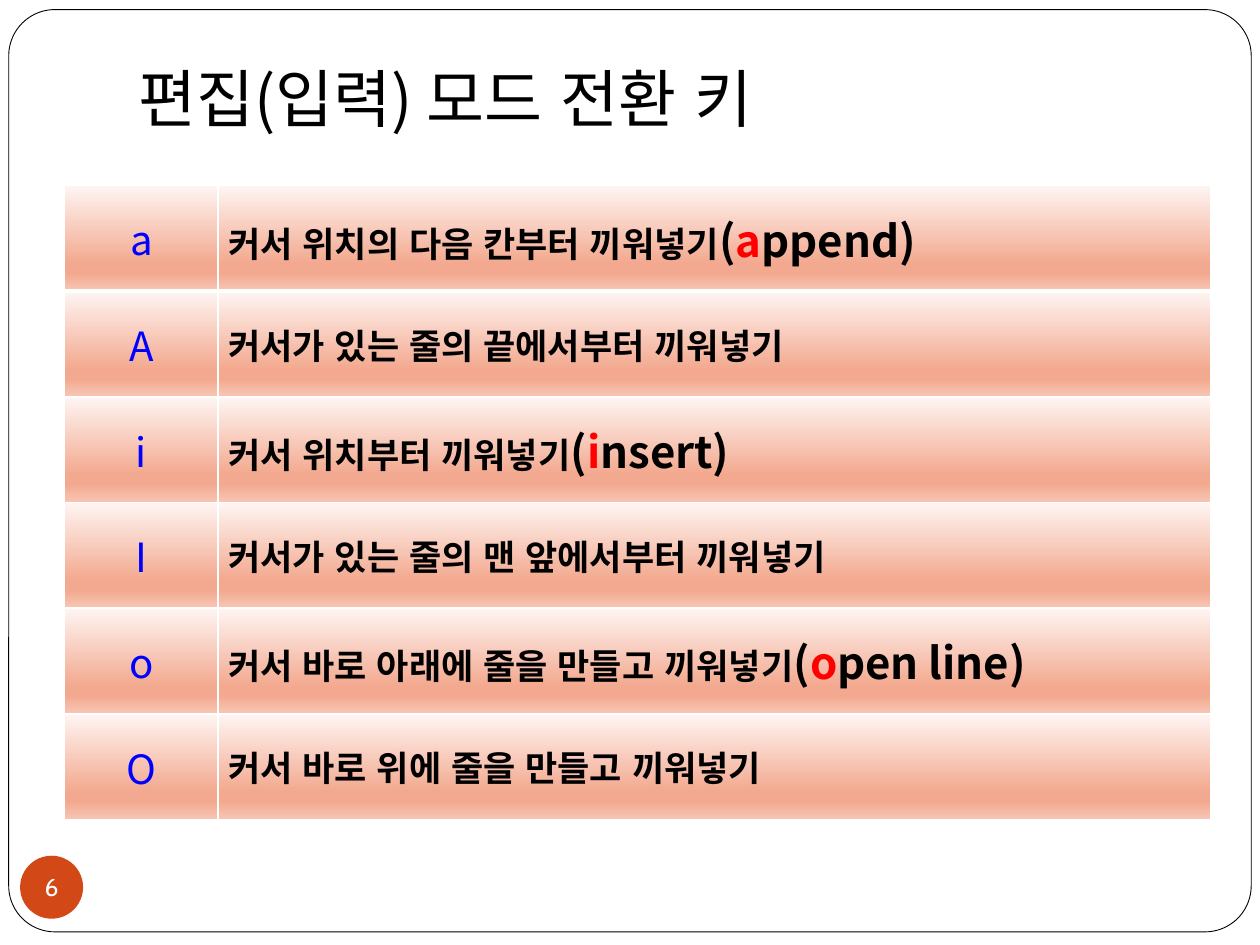
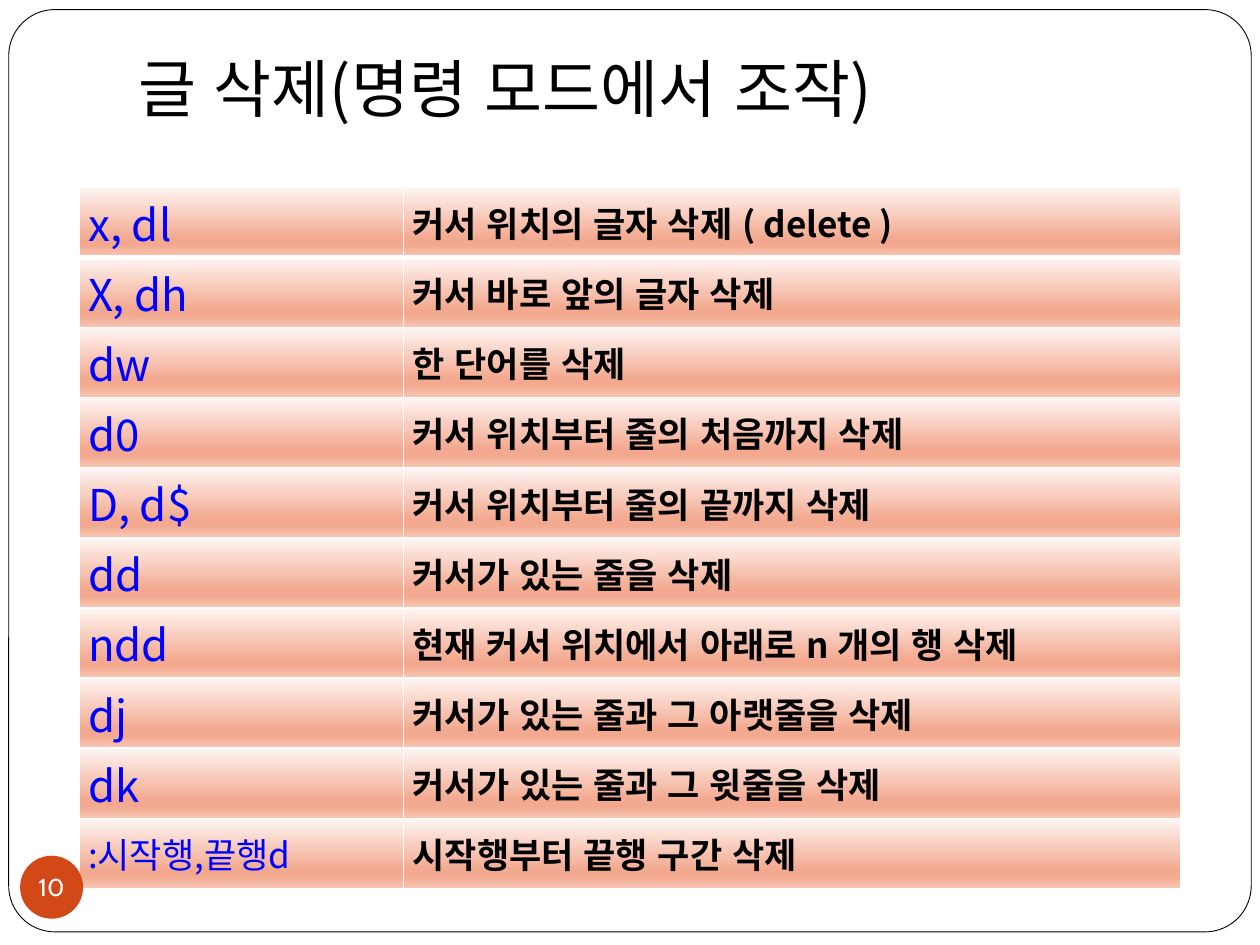
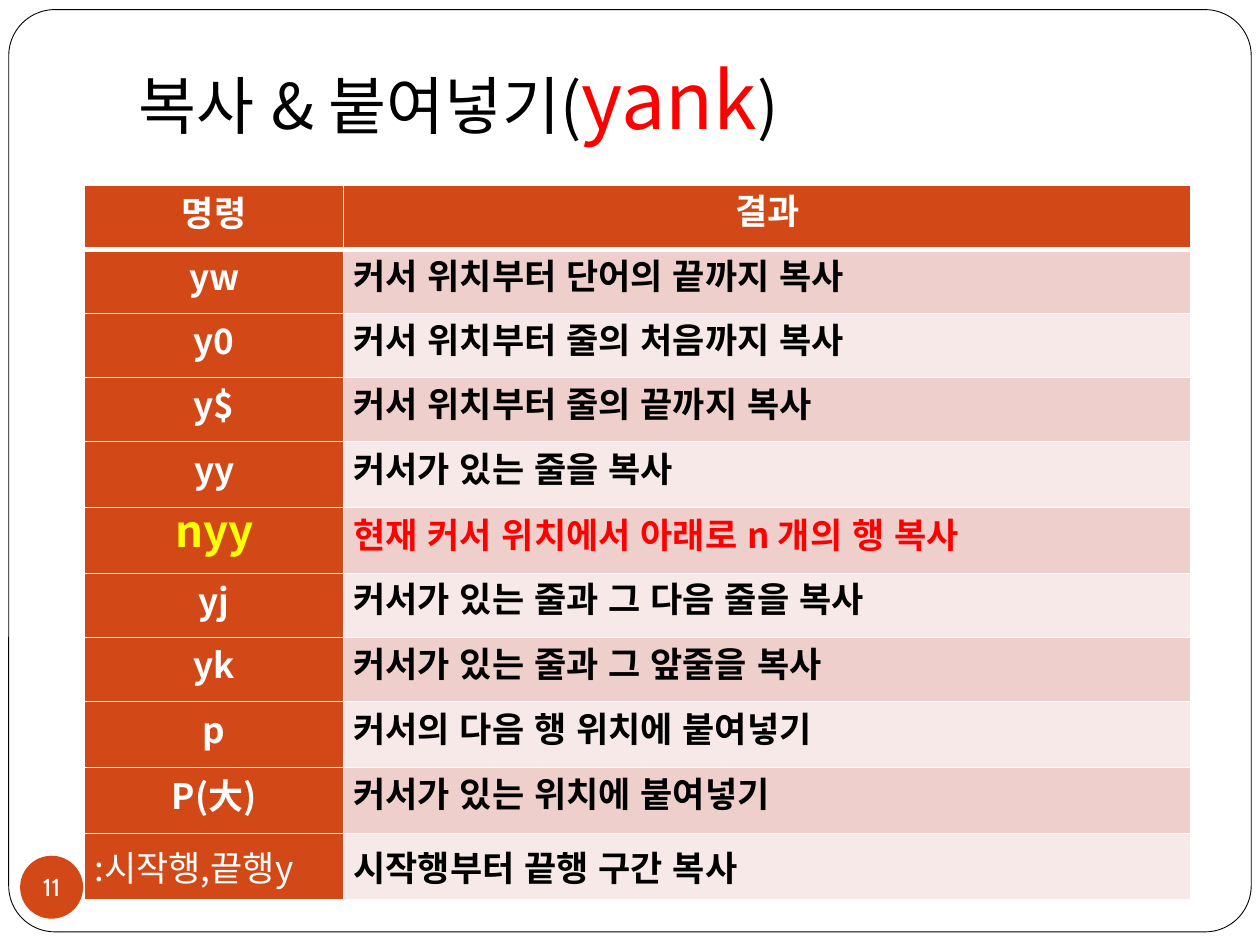
"""Build three slides of vi editor command tables."""
import dataclasses

import lxml.etree
import pptx
import pptx.dml.color
import pptx.enum.lang
import pptx.enum.shapes
import pptx.enum.text
import pptx.oxml
import pptx.oxml.ns
import pptx.util

Pt = pptx.util.Pt
RGB = pptx.dml.color.RGBColor.from_string
Align = pptx.enum.text.PP_ALIGN
Anchor = pptx.enum.text.MSO_ANCHOR
Shape = pptx.enum.shapes.MSO_SHAPE
qn = pptx.oxml.ns.qn
NS = pptx.oxml.ns.nsdecls("a")


@dataclasses.dataclass(frozen=True)
class Theme:
    font: str = "Noto Sans CJK KR"
    number_font: str = "Cabin"
    ink: str = "000000"
    paper: str = "FFFFFF"
    accent: str = "D34817"
    key: str = "0000FF"
    alert: str = "FF0000"
    highlight: str = "FFFF00"
    bands: tuple = ("F7E9E8", "EFCFCC")
    gradient: tuple = ((0, "FEF5F3"), (74, "F3A98F"), (83, "F3A98F"), (100, "F7C6B4"))
    title_size: float = 36
    title_accent_size: float = 45
    body_size: float = 20
    letter_size: float = 23
    key_size: float = 25
    number_size: float = 14


theme = Theme()


def write(para, text, size=theme.body_size, color=theme.ink, bold=False, font=theme.font):
    """Add one formatted span to a paragraph."""
    span = para.add_run()
    span.text = text
    span.font.size = Pt(size)
    span.font.bold = bold
    span.font.color.rgb = RGB(color)
    span.font.name = font
    span.font.language_id = pptx.enum.lang.MSO_LANGUAGE_ID.KOREAN
    lxml.etree.SubElement(span._r.get_or_add_rPr(), qn("a:ea"), typeface=font)


def style_cell(cell, fill, inset, bottom_width):
    """Set the insets, white borders and fill (a colour or gradient stops) of a cell."""
    cell.vertical_anchor = Anchor.MIDDLE
    cell.margin_left = cell.margin_right = Pt(inset)
    cell.margin_top = cell.margin_bottom = 0
    properties = cell._tc.get_or_add_tcPr()
    for side, width in zip("LRTB", (1, 1, 1, bottom_width)):
        properties.append(pptx.oxml.parse_xml(
            f'<a:ln{side} {NS} w="{Pt(width)}"><a:solidFill>'
            f'<a:srgbClr val="{theme.paper}"/></a:solidFill></a:ln{side}>'))
    if isinstance(fill, str):
        cell.fill.solid()
        cell.fill.fore_color.rgb = RGB(fill)
    else:
        stops = "".join(f'<a:gs pos="{place * 1000}"><a:srgbClr val="{color}"/></a:gs>'
                        for place, color in fill)
        properties.append(pptx.oxml.parse_xml(
            f'<a:gradFill {NS} rotWithShape="1"><a:gsLst>{stops}</a:gsLst>'
            '<a:lin ang="5400000" scaled="0"/></a:gradFill>'))


insert_rows = [
    ("a", "커서 위치의 다음 칸부터 끼워넣기", "append"),
    ("A", "커서가 있는 줄의 끝에서부터 끼워넣기", ""),
    ("i", "커서 위치부터 끼워넣기", "insert"),
    ("I", "커서가 있는 줄의 맨 앞에서부터 끼워넣기", ""),
    ("o", "커서 바로 아래에 줄을 만들고 끼워넣기", "open line"),
    ("O", "커서 바로 위에 줄을 만들고 끼워넣기", ""),
]
delete_rows = [
    ("x, dl", "커서 위치의 글자 삭제 ( delete )"),
    ("X, dh", "커서 바로 앞의 글자 삭제"),
    ("dw", "한 단어를 삭제"),
    ("d0", "커서 위치부터 줄의 처음까지 삭제"),
    ("D, d$", "커서 위치부터 줄의 끝까지 삭제"),
    ("dd", "커서가 있는 줄을 삭제"),
    ("ndd", "현재 커서 위치에서 아래로 n 개의 행 삭제"),
    ("dj", "커서가 있는 줄과 그 아랫줄을 삭제"),
    ("dk", "커서가 있는 줄과 그 윗줄을 삭제"),
    (":시작행,끝행d", "시작행부터 끝행 구간 삭제"),
]
yank_rows = [
    ("명령", "결과"),
    ("yw", "커서 위치부터 단어의 끝까지 복사"),
    ("y0", "커서 위치부터 줄의 처음까지 복사"),
    ("y$", "커서 위치부터 줄의 끝까지 복사"),
    ("yy", "커서가 있는 줄을 복사"),
    ("nyy", "현재 커서 위치에서 아래로 n 개의 행 복사"),
    ("yj", "커서가 있는 줄과 그 다음 줄을 복사"),
    ("yk", "커서가 있는 줄과 그 앞줄을 복사"),
    ("p", "커서의 다음 행 위치에 붙여넣기"),
    ("P(大)", "커서가 있는 위치에 붙여넣기"),
    (":시작행,끝행y", "시작행부터 끝행 구간 복사"),
]
yank_title = [
    ("복사 & 붙여넣기(", {}),
    ("yank", {"size": theme.title_accent_size, "color": theme.alert}),
    (")", {}),
]
short, tall = 36.6, 37.7
yank_heights = [short] * 4 + [tall] * 2 + [short] * 2 + [tall] * 3

pages = [
    dict(number="6", title=[("편집(입력) 모드 전환 키", {})], title_height=62.6,
         rows=insert_rows, left=36.9, top=106, columns=(87.8, 567.2), heights=[60.4] * 6, inset=5.8),
    dict(number="10", title=[("글 삭제(명령 모드에서 조작)", {})], title_height=56.9,
         rows=delete_rows, left=45, top=106.9, columns=(185.5, 444.3), heights=[40.1] * 10, inset=5.3),
    dict(number="11", title=yank_title, title_height=68.4,
         rows=yank_rows, left=48.4, top=106, columns=(148, 484.2), heights=yank_heights, inset=5.5),
]

deck = pptx.Presentation()
deck.slide_width, deck.slide_height = Pt(720), Pt(540)
tables = []

for content in pages:
    page = deck.slides.add_slide(deck.slide_layouts[6])

    frame = page.shapes.add_shape(Shape.ROUNDED_RECTANGLE, Pt(5), Pt(5.5), Pt(710), Pt(527))
    frame.shadow.inherit = False
    frame.adjustments[0] = 0.05
    frame.fill.solid()
    frame.fill.fore_color.rgb = RGB(theme.paper)
    frame.line.color.rgb = RGB(theme.ink)
    frame.line.width = Pt(0.5)

    title = page.shapes.add_textbox(Pt(72), Pt(21.6), Pt(612), Pt(content["title_height"])).text_frame
    title.word_wrap = True
    title.vertical_anchor = Anchor.BOTTOM
    title.margin_bottom = Pt(7.2)
    for text, look in content["title"]:
        write(title.paragraphs[0], text, **{"size": theme.title_size, **look})

    heights, columns = content["heights"], content["columns"]
    table = page.shapes.add_table(
        len(heights), len(columns), Pt(content["left"]), Pt(content["top"]),
        Pt(sum(columns)), Pt(sum(heights))).table
    table.first_row = table.horz_banding = False
    for column, width in zip(table.columns, columns):
        column.width = Pt(width)
    for row, height in zip(table.rows, heights):
        row.height = Pt(height)
    tables.append(table)

    badge = page.shapes.add_shape(Shape.OVAL, Pt(11.5), Pt(489), Pt(36), Pt(36))
    badge.shadow.inherit = False
    badge.fill.solid()
    badge.fill.fore_color.rgb = RGB(theme.accent)
    badge.line.fill.background()
    label = badge.text_frame
    label.word_wrap = False
    label.vertical_anchor = Anchor.MIDDLE
    label.margin_left = label.margin_right = label.margin_top = label.margin_bottom = 0
    label.paragraphs[0].alignment = Align.CENTER
    write(label.paragraphs[0], content["number"], size=theme.number_size,
          color=theme.paper, font=theme.number_font)

for content, table in zip(pages, tables):
    for index, (key, meaning, *word) in enumerate(content["rows"]):
        key_cell, meaning_cell = table.cell(index, 0), table.cell(index, 1)
        key_para = key_cell.text_frame.paragraphs[0]
        meaning_para = meaning_cell.text_frame.paragraphs[0]
        is_range = key.startswith(":")
        key_para.alignment = Align.LEFT if is_range or content["rows"] is delete_rows else Align.CENTER
        meaning_para.alignment = Align.JUSTIFY
        key_fill = meaning_fill = theme.gradient
        key_look = dict(color=theme.key, size=theme.letter_size)
        meaning_look = dict(bold=True)

        if content["rows"] is delete_rows:
            key_look["size"] = theme.body_size if is_range else theme.key_size
        elif content["rows"] is yank_rows:
            key_fill, meaning_fill = theme.accent, theme.bands[index % 2]
            key_look = dict(color=theme.paper, bold=not is_range)
            if not is_range:
                key_para.line_spacing, meaning_para.line_spacing = Pt(22), Pt(20)
            if index == 0:
                meaning_fill = theme.accent
                meaning_para.alignment = Align.CENTER
                meaning_look["color"] = theme.paper
            elif key == "nyy":
                key_look.update(color=theme.highlight, size=theme.key_size)
                meaning_look["color"] = theme.alert

        bottom_width = 3 if index == 0 else 1
        style_cell(key_cell, key_fill, content["inset"], bottom_width)
        style_cell(meaning_cell, meaning_fill, content["inset"], bottom_width)
        write(key_para, key, **key_look)
        write(meaning_para, meaning, **meaning_look)
        if word and word[0]:
            for text, color in (("(", theme.ink), (word[0][0], theme.alert), (word[0][1:] + ")", theme.ink)):
                write(meaning_para, text, size=theme.key_size, color=color, bold=True)

deck.save("out.pptx")
